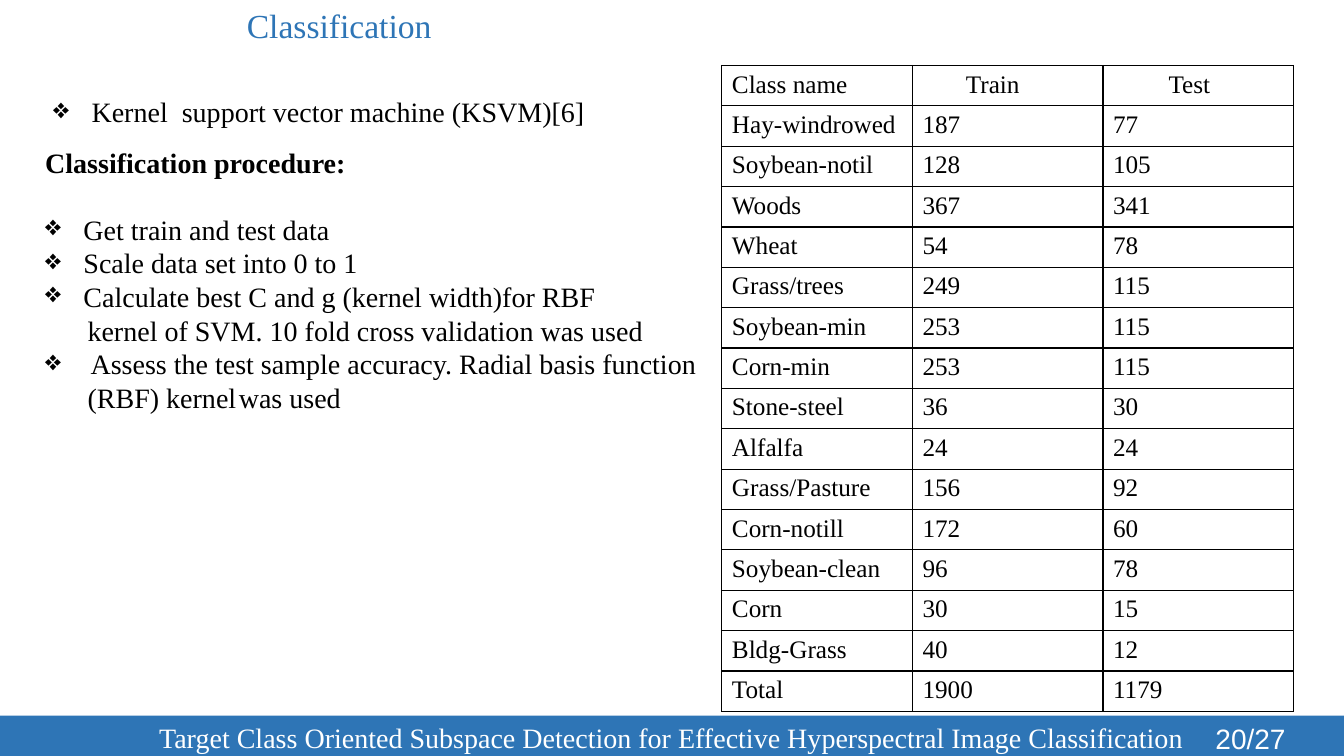
from dataclasses import dataclass

from lxml import etree
from pptx import Presentation
from pptx import util as u
from pptx.dml.color import RGBColor
from pptx.enum import shapes, text
from pptx.oxml import ns


@dataclass(frozen=True)
class Theme:
    blue: str = "2E75B6"
    white: str = "FFFFFF"
    black: str = "000000"
    serif: str = "Times New Roman"
    sans: str = "Arial"
    title: int = 24
    body: int = 20
    table: int = 18


theme = Theme()


def write(p, words, size, color, font=theme.serif, bold=False, indent=0, bullet=None, tab=None):
    """Fill a paragraph; a bullet hangs to the left of the indent."""
    pPr = p._p.get_or_add_pPr()
    pPr.set("marL", str(u.Inches(indent)))
    pPr.set("indent", str(-u.Inches(indent) if bullet else 0))
    if bullet:
        etree.SubElement(pPr, ns.qn("a:buChar"), char=bullet)
    if tab:
        tabs = etree.SubElement(pPr, ns.qn("a:tabLst"))
        etree.SubElement(tabs, ns.qn("a:tab"), pos=str(u.Inches(tab)), algn="l")
    r = p.add_run()
    r.text = words
    for name, value in {"size": u.Pt(size), "name": font, "bold": bold}.items():
        setattr(r.font, name, value)
    r.font.color.rgb = RGBColor.from_string(color)


def border(cell):
    tcPr = cell._tc.get_or_add_tcPr()
    for side in ("lnL", "lnR", "lnT", "lnB"):
        ln = etree.SubElement(tcPr, ns.qn("a:" + side), w=str(u.Pt(1)))
        fill = etree.SubElement(ln, ns.qn("a:solidFill"))
        etree.SubElement(fill, ns.qn("a:srgbClr"), val=theme.black)


prs = Presentation()
prs.slide_width, prs.slide_height = u.Inches(13.33), u.Inches(7.5)
s = prs.slides.add_slide(prs.slide_layouts[6])

# Title and footer bars
bars = [
    ((0.18, 0, 6.83, 0.5), theme.white, "Classification", theme.title, theme.blue, 2.17),
    ((0, 7.1, 13.33, 0.44), theme.blue,
     "Target Class Oriented Subspace Detection for Effective Hyperspectral Image Classification",
     theme.body, theme.white, 1.48),
]
for box, fill, words, size, color, indent in bars:
    sp = s.shapes.add_shape(shapes.MSO_SHAPE.RECTANGLE, *map(u.Inches, box))
    sp.shadow.inherit = False
    sp.fill.solid()
    sp.fill.fore_color.rgb = RGBColor.from_string(fill)
    sp.line.fill.background()
    tf = sp.text_frame
    tf.word_wrap = True
    tf.vertical_anchor = text.MSO_ANCHOR.TOP
    p = tf.paragraphs[0]
    p.alignment = text.PP_ALIGN.LEFT
    write(p, words, size, color, indent=indent)

# Classification procedure
steps = [
    ("Classification procedure:", {"bold": True}),
    ("Get train and test data", {"indent": 0.38, "bullet": "❖"}),
    ("Scale data set into 0 to 1", {"indent": 0.38, "bullet": "❖"}),
    ("Calculate best C and g (kernel width)for RBF", {"indent": 0.38, "bullet": "❖"}),
    ("kernel of SVM. 10 fold cross validation was used", {"indent": 0.42}),
    ("Assess the test sample accuracy. Radial basis function", {"indent": 0.45, "bullet": "❖"}),
    ("(RBF) kernel\twas used", {"indent": 0.42, "tab": 2}),
]
tf = s.shapes.add_textbox(*map(u.Inches, (0.35, 1.39, 6.7, 3.13))).text_frame
tf.word_wrap = True
for i, (words, options) in enumerate(steps):
    p = tf.paragraphs[0] if i == 0 else tf.add_paragraph()
    p.line_spacing = u.Pt(24)
    if i == 1:
        p.space_before = u.Pt(24)
    write(p, words, theme.body, theme.black, **options)

# Samples per class
samples = [
    ("Class name", "Train", "Test"),
    ("Hay-windrowed", 187, 77),
    ("Soybean-notil", 128, 105),
    ("Woods", 367, 341),
    ("Wheat", 54, 78),
    ("Grass/trees", 249, 115),
    ("Soybean-min", 253, 115),
    ("Corn-min", 253, 115),
    ("Stone-steel", 36, 30),
    ("Alfalfa", 24, 24),
    ("Grass/Pasture", 156, 92),
    ("Corn-notill", 172, 60),
    ("Soybean-clean", 96, 78),
    ("Corn", 30, 15),
    ("Bldg-Grass", 40, 12),
    ("Total", 1900, 1179),
]
header_indents = (0, 0.43, 0.55)
table = s.shapes.add_table(len(samples), 3, *map(u.Inches, (7.16, 0.65, 5.67, 6.4))).table
table.first_row = table.horz_banding = False
for i, row in enumerate(samples):
    for j, value in enumerate(row):
        cell = table.cell(i, j)
        border(cell)
        cell.fill.solid()
        cell.fill.fore_color.rgb = RGBColor.from_string(theme.white)
        write(cell.text_frame.paragraphs[0], str(value), theme.table, theme.black,
              indent=header_indents[j] if i == 0 else 0)

# Classifier
tf = s.shapes.add_textbox(*map(u.Inches, (0.43, 0.89, 5.5, 0.44))).text_frame
tf.word_wrap = True
write(tf.paragraphs[0], "Kernel  support vector machine (KSVM)[6]", theme.body, theme.black,
      indent=0.38, bullet="❖")

# Page number
tf = s.shapes.add_textbox(*map(u.Inches, (9.42, 7.12, 3.43, 0.4))).text_frame
tf.word_wrap = True
tf.vertical_anchor = text.MSO_ANCHOR.MIDDLE
p = tf.paragraphs[0]
p.alignment = text.PP_ALIGN.RIGHT
write(p, "20/27", theme.body, theme.white, font=theme.sans)

prs.save("out.pptx")
